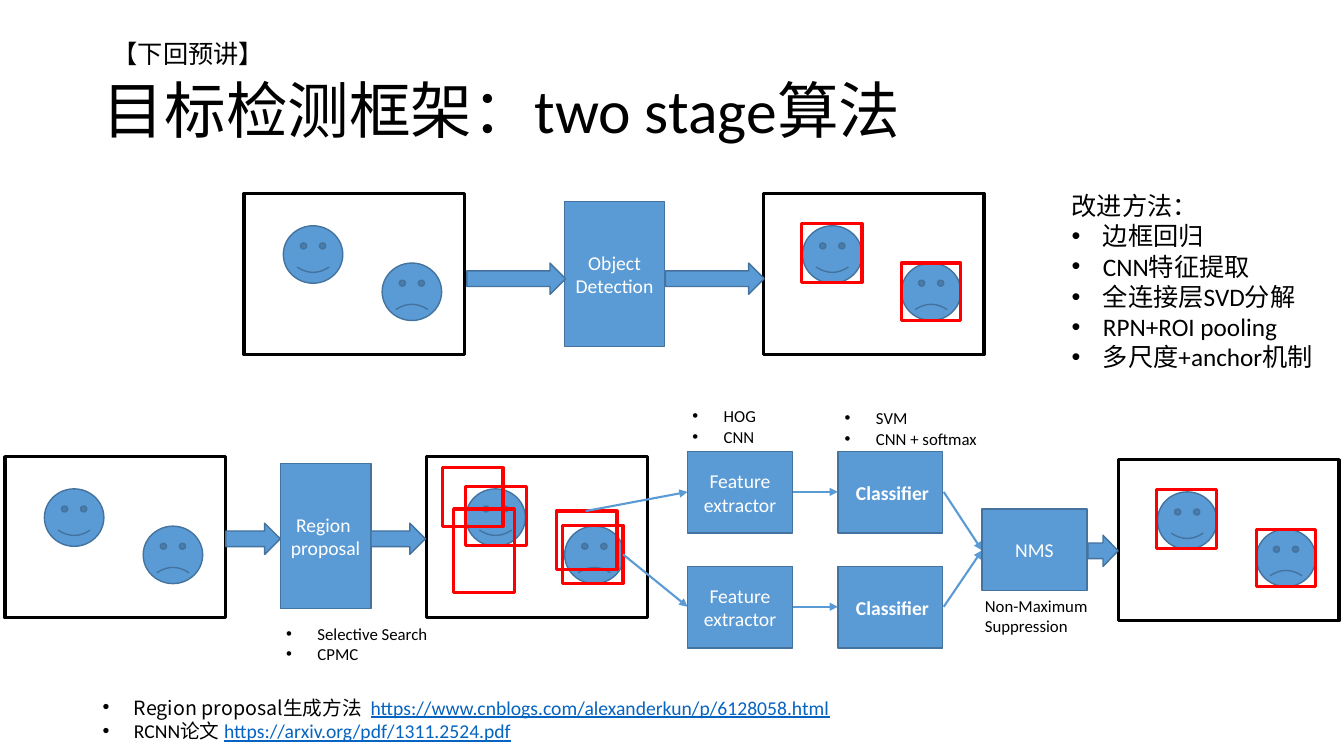
"""Builds a slide that explains the two stage object detection framework."""
from lxml.etree import SubElement
from pptx import Presentation
from pptx.dml.color import RGBColor
from pptx.enum.shapes import MSO_CONNECTOR, MSO_SHAPE
from pptx.enum.text import MSO_ANCHOR, MSO_AUTO_SIZE, PP_ALIGN
from pptx.oxml.ns import qn
from pptx.util import Inches, Pt

BLACK = RGBColor(0x00, 0x00, 0x00)
WHITE = RGBColor(0xFF, 0xFF, 0xFF)
BLUE = RGBColor(0x5B, 0x9B, 0xD5)
EDGE = RGBColor(0x43, 0x73, 0x9E)
RED = RGBColor(0xFF, 0x00, 0x00)
LINK = RGBColor(0x05, 0x63, 0xC1)
LATIN, CJK = "Calibri", "Noto Sans CJK SC"


class DetectionSlide:
    """Holds the style and the current slide."""

    def __init__(self, slide):
        self.slide = slide
        self.shapes = slide.shapes

    def style(self, run, size, color=BLACK, bold=None, latin=LATIN):
        font = run.font
        font.size, font.bold, font.name = Pt(size), bold, latin
        font.color.rgb = color
        SubElement(run._r.get_or_add_rPr(), qn("a:ea")).set("typeface", CJK)

    def bullet(self, paragraph):
        props = paragraph._p.get_or_add_pPr()
        props.set("marL", str(Inches(0.31)))
        props.set("indent", str(Inches(-0.31)))
        SubElement(props, qn("a:buFont")).set("typeface", "Arial")
        SubElement(props, qn("a:buChar")).set("char", "•")

    def title(self, text, left, top, width, height):
        heading = self.shapes.title
        heading.left, heading.top = Inches(left), Inches(top)
        heading.width, heading.height = Inches(width), Inches(height)
        frame = heading.text_frame
        frame.text = text
        frame.auto_size = MSO_AUTO_SIZE.NONE
        frame.vertical_anchor = MSO_ANCHOR.MIDDLE
        paragraph = frame.paragraphs[0]
        paragraph.alignment = PP_ALIGN.LEFT
        paragraph.line_spacing = 0.9
        self.style(paragraph.runs[0], 44)

    def frame_at(self, left, top, width, height, wrap):
        box = self.shapes.add_textbox(Inches(left), Inches(top), Inches(width), Inches(height))
        box.text_frame.word_wrap = wrap
        return box.text_frame

    def note(self, lines, left, top, width, height, size=12, first_bullet=0, wrap=False):
        frame = self.frame_at(left, top, width, height, wrap)
        frame.text = "\n".join(lines)
        for index, paragraph in enumerate(frame.paragraphs):
            if index >= first_bullet:
                self.bullet(paragraph)
            self.style(paragraph.runs[0], size)

    def references(self, entries, left, top, width, height):
        frame = self.frame_at(left, top, width, height, True)
        frame.text = "\n".join(label for label, _, _ in entries)
        for paragraph, (_, url, latin) in zip(frame.paragraphs, entries):
            self.bullet(paragraph)
            self.style(paragraph.runs[0], 14, latin=latin)
            address = paragraph.add_run()
            address.text = url
            self.style(address, 14, LINK)
            address.font.underline = True

    def shape(self, kind, left, top, width, height, fill=BLUE, line=EDGE, weight=1):
        shape = self.shapes.add_shape(kind, Inches(left), Inches(top), Inches(width), Inches(height))
        shape.shadow.inherit = False
        if fill is None:
            shape.fill.background()
        else:
            shape.fill.solid()
            shape.fill.fore_color.rgb = fill
        shape.line.color.rgb = line
        shape.line.width = Pt(weight)
        return shape

    def step(self, text, left, top, width=1.04, height=0.81, bold=None):
        frame = self.shape(MSO_SHAPE.RECTANGLE, left, top, width, height).text_frame
        frame.word_wrap = True
        frame.vertical_anchor = MSO_ANCHOR.MIDDLE
        frame.text = text
        for paragraph in frame.paragraphs:
            paragraph.alignment = PP_ALIGN.CENTER
            self.style(paragraph.runs[0], 14, WHITE, bold)

    def region(self, left, top, width=0.6, height=0.58):
        self.shape(MSO_SHAPE.RECTANGLE, left, top, width, height, None, RED, 2.25)

    def scene(self, left, top, detected=False):
        self.shape(MSO_SHAPE.RECTANGLE, left, top, 2.19, 1.6, WHITE, BLACK, 2.25)
        self.shape(MSO_SHAPE.SMILEY_FACE, left + 0.39, top + 0.32, 0.59, 0.57)
        sad = self.shape(MSO_SHAPE.SMILEY_FACE, left + 1.37, top + 0.69, 0.59, 0.57)
        sad.adjustments[0] = -0.047
        if detected:
            self.region(left + 0.38, top + 0.3)
            self.region(left + 1.37, top + 0.69, 0.59, 0.57)

    def block_arrow(self, left, top, width):
        self.shape(MSO_SHAPE.RIGHT_ARROW, left, top, width, 0.31)

    def arrow(self, start, end):
        link = self.shapes.add_connector(MSO_CONNECTOR.STRAIGHT, *map(Inches, start + end))
        link.line.color.rgb = BLUE
        link.line.width = Pt(1.5)
        SubElement(link.line._get_or_add_ln(), qn("a:tailEnd")).set("type", "triangle")
        SubElement(link._element.spPr, qn("a:effectLst"))


def main():
    deck = Presentation()
    deck.slide_width, deck.slide_height = Inches(13.33), Inches(7.5)
    page = DetectionSlide(deck.slides.add_slide(deck.slide_layouts[5]))

    page.title("目标检测框架：two stage算法", 0.92, 0.4, 11.5, 1.45)
    page.references([
        ("Region proposal生成方法  ", "https://www.cnblogs.com/alexanderkun/p/6128058.html", CJK),
        ("RCNN论文 ", "https://arxiv.org/pdf/1311.2524.pdf", LATIN),
    ], 0.92, 6.85, 7.71, 0.57)

    page.scene(2.42, 1.92)
    page.step("Object\nDetection", 5.6, 2, 0.99, 1.44)
    page.scene(7.57, 1.92, detected=True)
    for left in (4.63, 6.6):
        page.block_arrow(left, 2.61, 0.98)

    page.scene(0.05, 4.53)
    page.step("Region \nproposal", 2.78, 4.6, 0.9, 1.44)
    page.scene(4.23, 4.53)
    for left in (2.24, 3.68):
        page.block_arrow(left, 5.19, 0.54)
    for left, top, height in ((4.39, 4.64, 0.58), (4.62, 4.83, 0.58), (4.5, 5.05, 0.83),
                              (5.52, 5.07, 0.58), (5.58, 5.21, 0.58)):
        page.region(left, top, height=height)

    for proposal, top in (((5.81, 5.07), 4.48), ((6.18, 5.5), 5.62)):
        middle = top + 0.4
        page.step("Feature extractor", 6.82, top)
        page.step(" Classifier", 8.31, top, bold=True)
        page.arrow(proposal, (6.82, middle))
        page.arrow((7.87, middle), (8.31, middle))
        page.arrow((9.36, middle), (9.74, 5.46))

    page.step("NMS", 9.74, 5.05)
    page.scene(11.09, 4.56, detected=True)
    page.block_arrow(10.79, 5.31, 0.3)

    page.note(["Selective Search", "CPMC"], 2.74, 6.14, 1.62, 0.5)
    page.note(["HOG", "CNN"], 6.77, 3.98, 0.84, 0.5)
    page.note(["SVM", "CNN + softmax"], 8.28, 4, 1.54, 0.5)
    page.note(["Non-Maximum", "Suppression"], 9.67, 5.86, 1.27, 0.5, first_bullet=2)
    page.note(["【下回预讲】"], 1.02, 0.33, 1.72, 0.4, size=18, first_bullet=1)
    page.note(["改进方法：", "边框回归", "CNN特征提取", "全连接层SVD分解", "RPN+ROI pooling",
               "多尺度+anchor机制"], 10.53, 1.84, 2.62, 2.32, size=18, first_bullet=1, wrap=True)

    deck.save("out.pptx")


if __name__ == "__main__":
    main()
